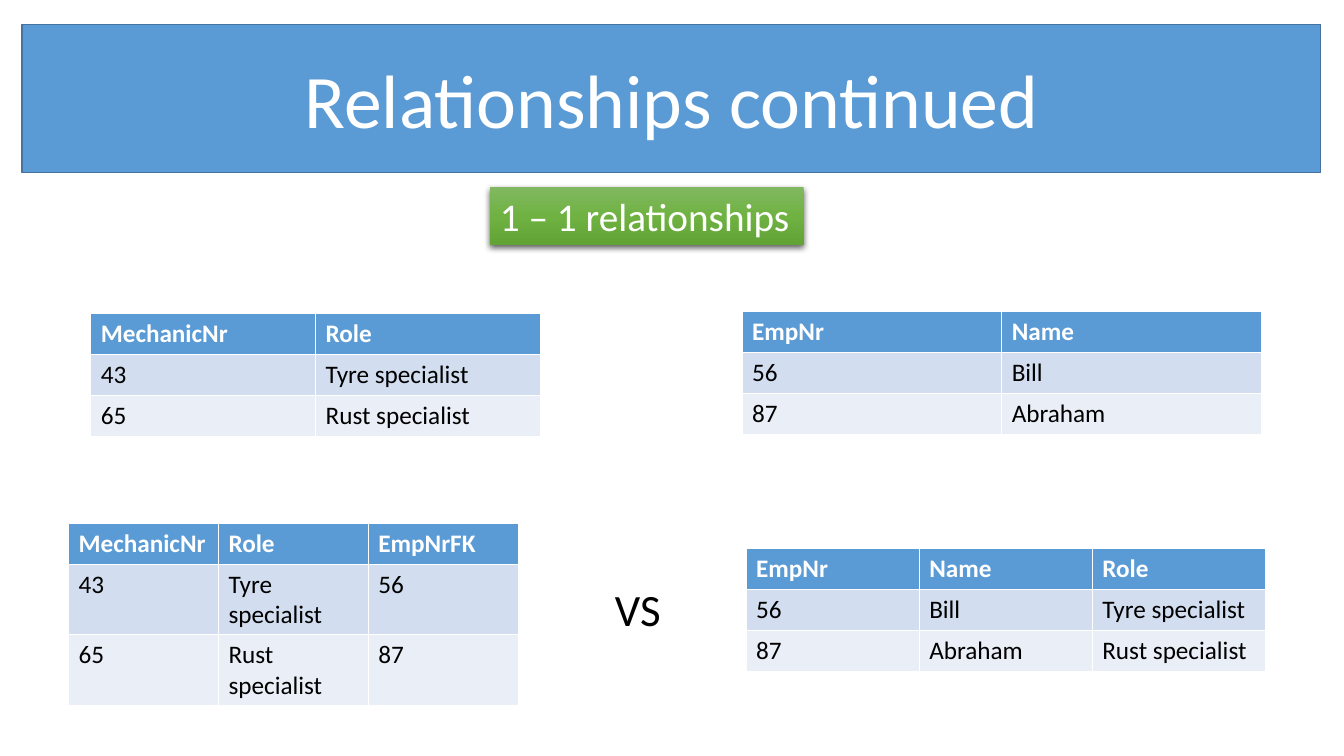
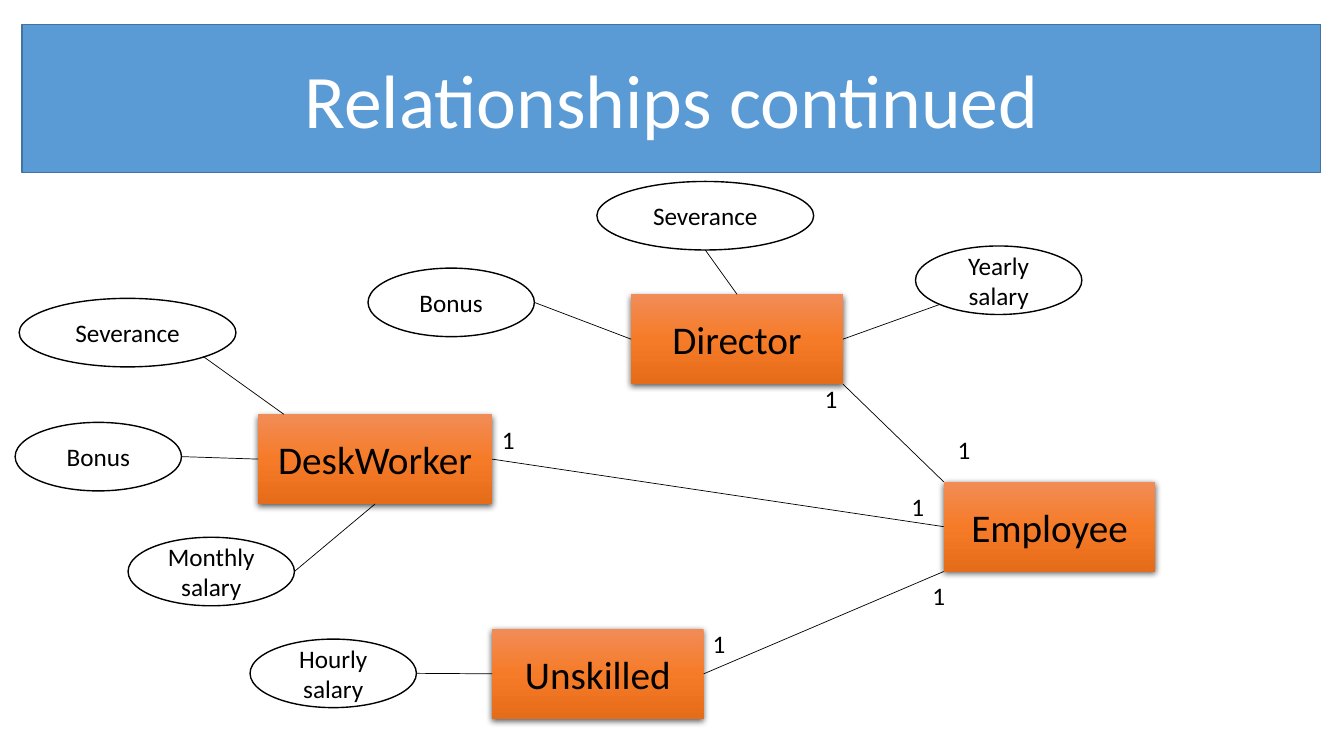
from copy import deepcopy

from lxml.etree import SubElement
from pptx import Presentation
from pptx.dml.color import RGBColor
from pptx.enum.shapes import MSO_CONNECTOR, MSO_SHAPE
from pptx.enum.text import MSO_ANCHOR, MSO_AUTO_SIZE, PP_ALIGN
from pptx.oxml.ns import qn
from pptx.util import Inches, Pt

FONT = "Calibri"
COLORS = {
    "white": "FFFFFF",
    "black": "000000",
    "blue": "5B9BD5",
    "blue_edge": "43739E",
    "row_dark": "D2DEEF",
    "row_light": "EAEFF7",
}
GRADIENTS = {
    "green": ("81B861", "6FB242", "62A336"),
    "orange": ("F18C57", "F67B28", "E56C19"),
}
TOP, LEFT, BOTTOM, RIGHT = (0.5, 0), (0, 0.5), (0.5, 1), (1, 0.5)
TOP_LEFT, BOTTOM_LEFT, BOTTOM_RIGHT = (0, 0), (0, 1), (1, 1)
ARC_LEFT, ARC_RIGHT = (0.15, 0.85), (0.85, 0.85)


def rgb(name):
    """Return the named colour."""
    return RGBColor.from_string(COLORS[name])


def anchor(shape, spot):
    """Return the point at a fraction of a shape's width and height."""
    across, down = spot
    return int(shape.left + across * shape.width), int(shape.top + down * shape.height)


class Deck:
    """Hold the shared style and the current slide."""

    def __init__(self):
        self.presentation = Presentation()
        self.presentation.slide_width = Inches(13.33)
        self.presentation.slide_height = Inches(7.5)
        self.slide = None

    def add_slide(self, title):
        """Start a slide with the blue title band."""
        self.slide = self.presentation.slides.add_slide(self.presentation.slide_layouts[5])
        band = self.slide.shapes.title
        band.left, band.top = Inches(0.22), Inches(0.24)
        band.width, band.height = Inches(12.88), Inches(1.47)
        self.paint(band, "blue", "blue_edge")
        self.centre_text(band, title, 54, "white")

    def paint(self, shape, fill, line):
        """Give a shape a plain fill and a thin outline."""
        shape.fill.solid()
        shape.fill.fore_color.rgb = rgb(fill)
        shape.line.color.rgb = rgb(line)
        shape.line.width = Pt(1)

    def style_runs(self, text_frame, size, color, bold=False):
        """Format every run of a text frame."""
        for paragraph in text_frame.paragraphs:
            for run in paragraph.runs:
                run.font.name = FONT
                run.font.size = Pt(size)
                run.font.bold = bold
                run.font.color.rgb = rgb(color)

    def centre_text(self, shape, text, size, color="black"):
        """Put centred text in a shape."""
        frame = shape.text_frame
        frame.text = text
        frame.word_wrap = True
        frame.auto_size = MSO_AUTO_SIZE.NONE
        frame.vertical_anchor = MSO_ANCHOR.MIDDLE
        frame.paragraphs[0].alignment = PP_ALIGN.CENTER
        self.style_runs(frame, size, color)

    def fit_text(self, shape, text, size, color="black"):
        """Put unwrapped text at the top left of a shape."""
        frame = shape.text_frame
        frame.text = text
        frame.word_wrap = False
        frame.auto_size = MSO_AUTO_SIZE.SHAPE_TO_FIT_TEXT
        frame.vertical_anchor = MSO_ANCHOR.TOP
        frame.paragraphs[0].alignment = PP_ALIGN.LEFT
        self.style_runs(frame, size, color)

    def glossy_box(self, left, top, width, height, gradient):
        """Add a borderless gradient rectangle with a soft shadow."""
        shape = self.slide.shapes.add_shape(
            MSO_SHAPE.RECTANGLE, Inches(left), Inches(top), Inches(width), Inches(height))
        shape.shadow.inherit = False
        shape.line.fill.background()
        shape.fill.gradient()
        shape.fill.gradient_angle = 270
        properties = shape.element.spPr
        stops = properties.find(".//" + qn("a:gsLst"))
        stops.insert(1, deepcopy(stops[0]))
        for index, stop in enumerate(shape.fill.gradient_stops):
            stop.position = index / 2
            stop.color.rgb = RGBColor.from_string(GRADIENTS[gradient][index])
        shadow = SubElement(properties.find(qn("a:effectLst")), qn("a:outerShdw"),
                            blurRad=str(Pt(4.5)), dist=str(Pt(1.5)), dir="5400000",
                            algn="ctr", rotWithShape="0")
        color = SubElement(shadow, qn("a:srgbClr"), val=COLORS["black"])
        SubElement(color, qn("a:alpha"), val="63000")
        return shape

    def badge(self, text, left, top, width, height):
        """Add a green heading badge."""
        shape = self.glossy_box(left, top, width, height, "green")
        self.fit_text(shape, text, 28, "white")

    def entity(self, text, left, top, width=2.1):
        """Add an orange entity box."""
        shape = self.glossy_box(left, top, width, 0.89, "orange")
        self.centre_text(shape, text, 28)
        return shape

    def attribute(self, text, left, top, width=1.65):
        """Add an attribute ellipse."""
        shape = self.slide.shapes.add_shape(
            MSO_SHAPE.OVAL, Inches(left), Inches(top), Inches(width), Inches(0.68))
        shape.shadow.inherit = False
        self.paint(shape, "white", "black")
        self.centre_text(shape, text, 18)
        return shape

    def link(self, start, start_spot, end, end_spot):
        """Join two shapes with a thin line."""
        line = self.slide.shapes.add_connector(
            MSO_CONNECTOR.STRAIGHT, *anchor(start, start_spot), *anchor(end, end_spot))
        line.line.color.rgb = rgb("black")
        line.line.width = Pt(0.5)
        SubElement(line.element.spPr, qn("a:effectLst"))

    def label(self, text, left, top, width=0.33, height=0.4, size=18):
        """Add a short free-standing text."""
        box = self.slide.shapes.add_textbox(
            Inches(left), Inches(top), Inches(width), Inches(height))
        self.fit_text(box, text, size)

    def table(self, rows, left, top, width):
        """Add a banded table with a blue header row."""
        table = self.slide.shapes.add_table(
            len(rows), len(rows[0]), Inches(left), Inches(top),
            Inches(width), Inches(1.22)).table
        fills = ("blue", "row_dark", "row_light")
        for row_index, values in enumerate(rows):
            header = row_index == 0
            for column_index, value in enumerate(values):
                cell = table.cell(row_index, column_index)
                cell.text_frame.text = value
                cell.fill.solid()
                cell.fill.fore_color.rgb = rgb(fills[row_index])
                self.style_runs(cell.text_frame, 18, "white" if header else "black", header)


deck = Deck()

deck.add_slide("Relationships continued")
mechanics = [("MechanicNr", "Role"), ("43", "Tyre specialist"), ("65", "Rust specialist")]
employees = [("EmpNr", "Name"), ("56", "Bill"), ("87", "Abraham")]
foreign_keys = ("EmpNrFK", "56", "87")
deck.table(mechanics, 0.9, 3.11, 4.46)
deck.table(employees, 7.36, 3.09, 5.15)
deck.badge("1 – 1 relationships", 4.86, 1.86, 3.11, 0.57)
deck.table([(*row, key) for row, key in zip(mechanics, foreign_keys)], 0.68, 5.19, 4.46)
deck.table([(*row, role) for row, (_, role) in zip(employees, mechanics)], 7.4, 5.44, 5.15)
deck.label("VS", 6, 5.72, 0.66, 0.64, 32)

deck.add_slide("Relationships continued")
director = deck.entity("Director", 6.26, 2.92)
desk_worker = deck.entity("DeskWorker", 2.56, 4.11, 2.32)
unskilled = deck.entity("Unskilled", 4.88, 6.24)
employee = deck.entity("Employee", 9.36, 4.78)

for text, left, top, width, spot, owner, owner_spot in (
    ("Hourly salary", 2.48, 6.34, 1.65, RIGHT, unskilled, LEFT),
    ("Monthly salary", 1.27, 5.33, 1.65, RIGHT, desk_worker, BOTTOM),
    ("Yearly salary", 9.08, 2.44, 1.65, ARC_LEFT, director, RIGHT),
    ("Bonus", 3.65, 2.66, 1.65, RIGHT, director, LEFT),
    ("Bonus", 0.15, 4.19, 1.65, RIGHT, desk_worker, LEFT),
    ("Severance", 5.92, 1.8, 2.15, BOTTOM, director, TOP),
    ("Severance", 0.19, 2.96, 2.15, ARC_RIGHT, desk_worker, (0.11, 0)),
):
    deck.link(deck.attribute(text, left, top, width), spot, owner, owner_spot)

deck.link(director, BOTTOM_RIGHT, employee, TOP_LEFT)
deck.link(desk_worker, RIGHT, employee, LEFT)
deck.link(unskilled, RIGHT, employee, BOTTOM_LEFT)

for left, top in ((6.97, 6.18), (9.15, 5.71), (4.88, 4.16),
                  (8.94, 4.83), (8.08, 3.75), (9.4, 4.26)):
    deck.label("1", left, top)

deck.presentation.save("out.pptx")
